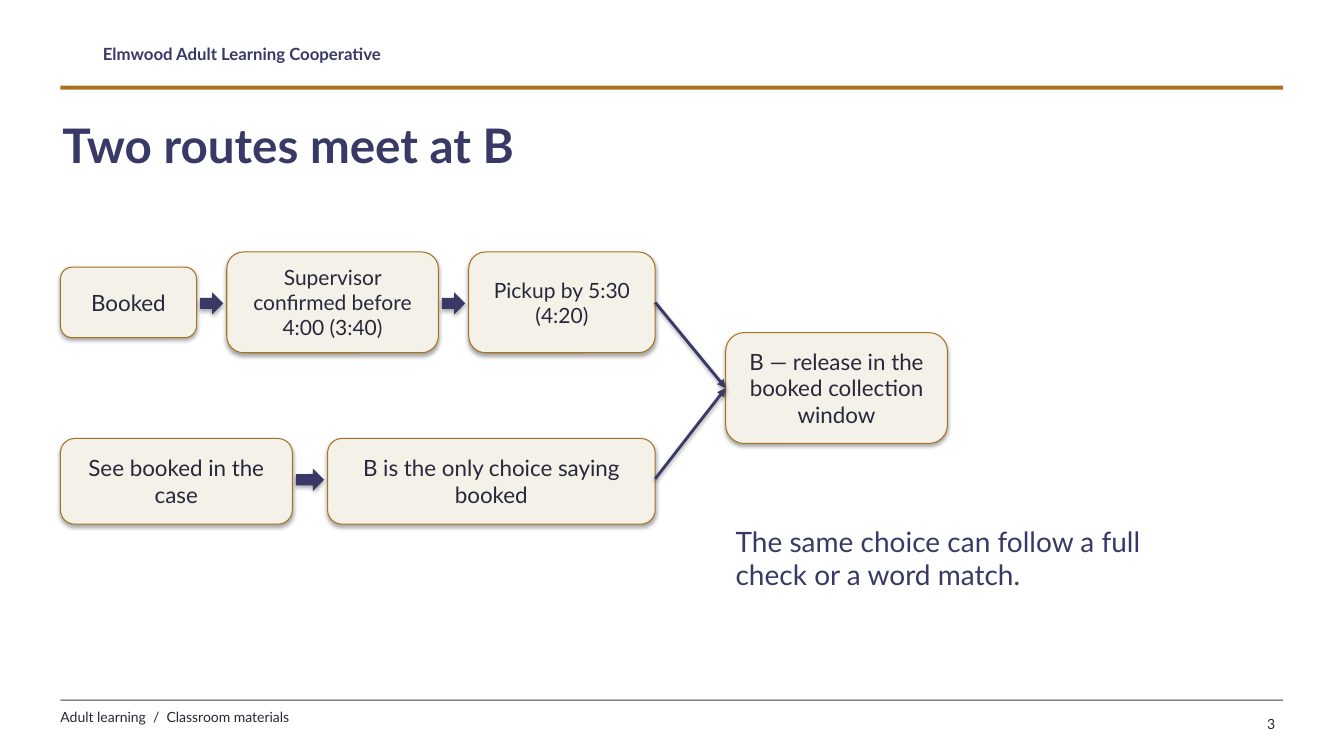
from dataclasses import dataclass

import pptx
import pptx.dml.color
import pptx.enum.shapes
import pptx.enum.text
import pptx.oxml
import pptx.oxml.ns
import pptx.util

Pt = pptx.util.Pt
RGBColor = pptx.dml.color.RGBColor
Preset = pptx.enum.shapes.MSO_SHAPE
Align = pptx.enum.text.PP_ALIGN

NAVY = RGBColor(0x39, 0x39, 0x67)
BRONZE = RGBColor(0xA8, 0x73, 0x23)
CREAM = RGBColor(0xF4, 0xF1, 0xE9)
INK = RGBColor(0x29, 0x28, 0x3A)
BLACK = RGBColor(0, 0, 0)
FONT = "Lato"
MARGIN = 43.2
CONTENT_WIDTH = 873.36
ARROW_GAP = 2.5
ARROW_HEIGHT = 15.84


@dataclass(frozen=True)
class Box:
    left: float
    top: float
    width: float
    height: float


@dataclass(frozen=True)
class Step:
    text: str
    box: Box
    size: float = 16


@dataclass(frozen=True)
class Route:
    steps: tuple[Step, ...]
    arrow_top: float
    exit_y: float


@dataclass(frozen=True)
class Label:
    text: str
    box: Box
    size: float
    color: RGBColor
    bold: bool = False
    inset: tuple[float, float] = (0, 0)
    align: pptx.enum.text.PP_ALIGN = Align.LEFT
    wrap: bool = True


ROUTES = (
    Route((Step("Booked", Box(MARGIN, 190.8, 97.2, 50.4)),
           Step("Supervisor confirmed before 4:00 (3:40)", Box(162, 180, 151.2, 72), 15),
           Step("Pickup by 5:30 (4:20)", Box(334.8, 180, 133.2, 72), 15)), 208.8, 216),
    Route((Step("See booked in the case", Box(MARGIN, 313.2, 165.6, 61.2)),
           Step("B is the only choice saying booked", Box(234, 313.2, 234, 61.2))), 334.8, 342),
)
RELEASE = Step("B — release in the booked collection window", Box(518.4, 237.6, 158.4, 79.2))

LABELS = (
    Label("Elmwood Adult Learning Cooperative", Box(73.44, 30.96, 432, 20.16), 12, NAVY, True),
    Label("Adult learning  /  Classroom materials", Box(MARGIN, 506.16, 504, 16.56), 10, INK),
    Label("Two routes meet at B", Box(44.64, 82.8, 864, 75.6), 34, NAVY, True),
    Label("The same choice can follow a full check or a word match.",
          Box(518.4, 370.8, 324, 72), 20, NAVY, inset=(7.2, 3.6)),
    Label("3", Box(882, 507.6, 36, 18), 10, INK, inset=(7.2, 3.6), align=Align.RIGHT, wrap=False),
)


def add_shadow(properties, alpha: int, distance: float) -> None:
    effects = properties.find(pptx.oxml.ns.qn("a:effectLst"))
    if effects is not None:
        properties.remove(effects)
    properties.append(pptx.oxml.parse_xml(
        f'<a:effectLst {pptx.oxml.ns.nsdecls("a")}>'
        f'<a:outerShdw blurRad="{Pt(3.1)}" dist="{Pt(distance)}" dir="5400000" rotWithShape="0">'
        f'<a:srgbClr val="{BLACK}"><a:alpha val="{alpha * 1000}"/></a:srgbClr>'
        f'</a:outerShdw></a:effectLst>'))


def add_block(slide, preset: Preset, box: Box, fill: RGBColor):
    block = slide.shapes.add_shape(preset, Pt(box.left), Pt(box.top), Pt(box.width), Pt(box.height))
    block.shadow.inherit = False
    block.fill.solid()
    block.fill.fore_color.rgb = fill
    block.line.fill.background()
    return block


def write(frame, text: str, size: float, color: RGBColor, align: Align,
          inset: tuple[float, float], bold: bool = False, wrap: bool = True) -> None:
    frame.margin_left = frame.margin_right = Pt(inset[0])
    frame.margin_top = frame.margin_bottom = Pt(inset[1])
    frame.word_wrap = wrap
    frame.text = text
    paragraph = frame.paragraphs[0]
    paragraph.alignment = align
    font = paragraph.runs[0].font
    font.name, font.size, font.bold = FONT, Pt(size), bold
    font.color.rgb = color


def add_label(slide, label: Label) -> None:
    box = label.box
    holder = slide.shapes.add_textbox(Pt(box.left), Pt(box.top), Pt(box.width), Pt(box.height))
    write(holder.text_frame, label.text, label.size, label.color, label.align,
          label.inset, label.bold, label.wrap)


def add_step(slide, step: Step) -> None:
    card = add_block(slide, Preset.ROUNDED_RECTANGLE, step.box, CREAM)
    card.line.color.rgb = BRONZE
    card.line.width = Pt(0.75)
    add_shadow(card.element.spPr, 35, 1.8)
    card.text_frame.vertical_anchor = pptx.enum.text.MSO_ANCHOR.MIDDLE
    write(card.text_frame, step.text, step.size, INK, Align.CENTER, (5.76, 3.6))


def add_step_arrow(slide, before: Box, after: Box, top: float) -> None:
    left = before.left + before.width + ARROW_GAP
    box = Box(left, top, after.left - ARROW_GAP - left, ARROW_HEIGHT)
    arrow = add_block(slide, Preset.RIGHT_ARROW, box, NAVY)
    add_shadow(arrow.element.spPr, 35, 1.8)


def add_merge_line(slide, route: Route) -> None:
    last, target = route.steps[-1].box, RELEASE.box
    merge = slide.shapes.add_connector(
        pptx.enum.shapes.MSO_CONNECTOR.STRAIGHT, Pt(last.left + last.width), Pt(route.exit_y),
        Pt(target.left), Pt(target.top + target.height / 2))
    merge.line.color.rgb = NAVY
    merge.line.width = Pt(2)
    merge.line._get_or_add_ln().append(pptx.oxml.parse_xml(
        f'<a:tailEnd {pptx.oxml.ns.nsdecls("a")} type="triangle"/>'))
    add_shadow(merge._element.spPr, 38, 1.6)


def add_rules(slide) -> None:
    add_block(slide, Preset.RECTANGLE, Box(MARGIN, 61.2, CONTENT_WIDTH, 2.88), BRONZE)
    add_block(slide, Preset.RECTANGLE, Box(MARGIN, 499.68, CONTENT_WIDTH, 0.72), NAVY)


def main() -> None:
    deck = pptx.Presentation()
    deck.slide_width, deck.slide_height = Pt(960), Pt(540)
    slide = deck.slides.add_slide(deck.slide_layouts[6])
    add_rules(slide)
    for route in ROUTES:
        for step in route.steps:
            add_step(slide, step)
    add_step(slide, RELEASE)
    for route in ROUTES:
        for before, after in zip(route.steps, route.steps[1:]):
            add_step_arrow(slide, before.box, after.box, route.arrow_top)
    for route in ROUTES:
        add_merge_line(slide, route)
    for label in LABELS:
        add_label(slide, label)
    deck.save("out.pptx")


if __name__ == "__main__":
    main()
